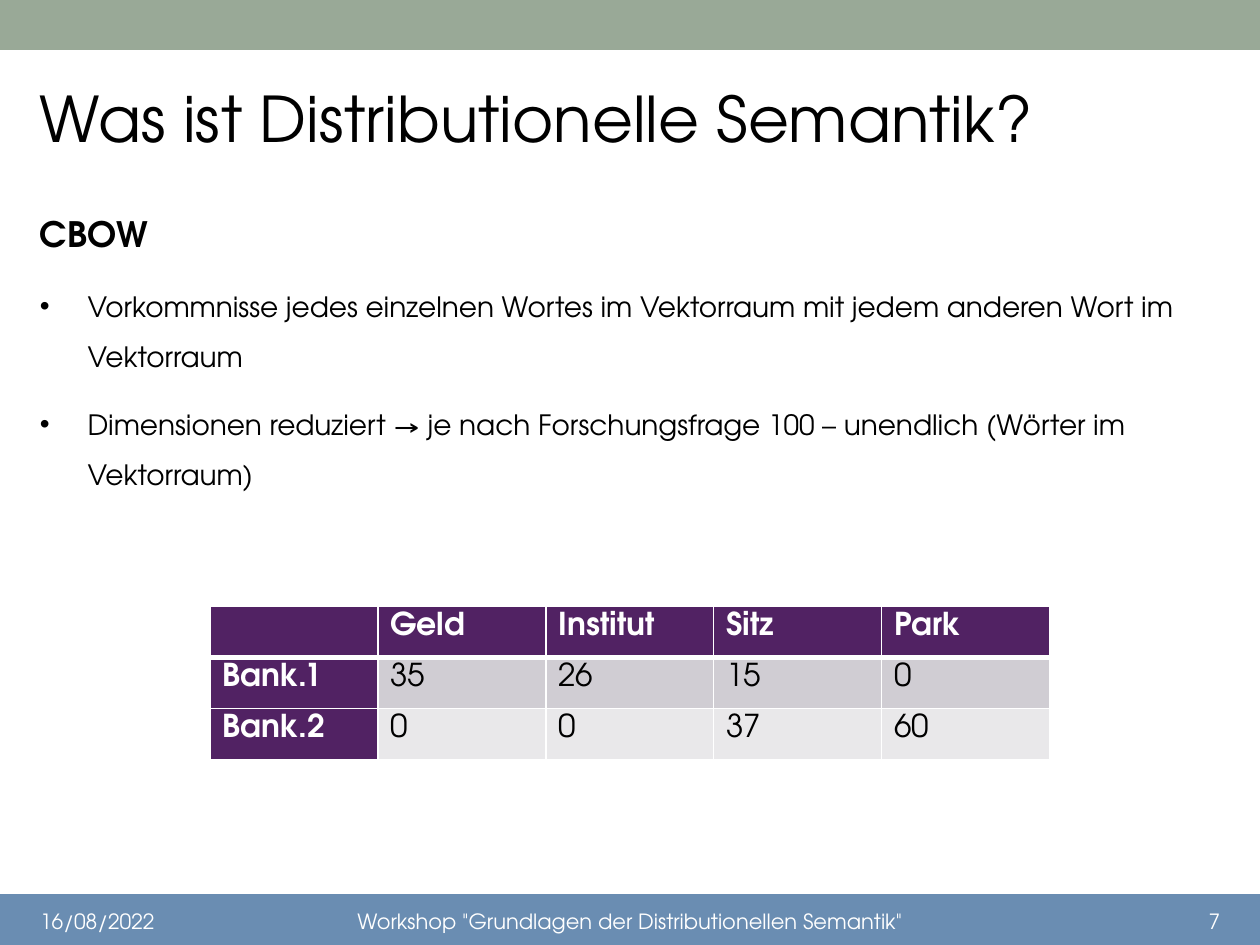
from pptx import Presentation
from pptx.dml.color import RGBColor
from pptx.enum import shapes, text
from pptx.oxml import parse_xml
from pptx.oxml.ns import nsdecls
from pptx.util import Cm, Pt

FONT = "TeX Gyre Adventor"
WHITE, BLACK, PLUM = "FFFFFF", "000000", "512263"
ROWS = [
    ["", "Geld", "Institut", "Sitz", "Park"],
    ["Bank.1", "35", "26", "15", "0"],
    ["Bank.2", "0", "0", "37", "60"],
]
BANDS = [PLUM, "D0CDD3", "E9E8EA"]
POINTS = [
    "Vorkommnisse jedes einzelnen Wortes im Vektorraum mit jedem anderen Wort im Vektorraum",
    "Dimensionen reduziert → je nach Forschungsfrage 100 – unendlich (Wörter im Vektorraum)",
]


def paint(fill, hue):
    fill.solid()
    fill.fore_color.rgb = RGBColor.from_string(hue)


def style(para, size, hue, bold=False, align=text.PP_ALIGN.LEFT):
    para.alignment = align
    for run in para.runs:
        font = run.font
        font.name, font.size, font.bold = FONT, Pt(size), bold
        font.color.rgb = RGBColor.from_string(hue)


def place(shape, left, top, width, height):
    shape.left, shape.top = Cm(left), Cm(top)
    shape.width, shape.height = Cm(width), Cm(height)


def bar(slide, top, hue):
    rect = slide.shapes.add_shape(
        shapes.MSO_SHAPE.RECTANGLE, 0, Cm(top), Cm(25.4), Cm(1))
    rect.shadow.inherit = False
    paint(rect.fill, hue)
    paint(rect.line.fill, hue)
    rect.line.width = Pt(1)


def title(slide, words):
    head = slide.shapes.title
    place(head, 0.55, 1.37, 21.9, 2)
    frame = head.text_frame
    frame.text = words
    frame.auto_size = text.MSO_AUTO_SIZE.NONE
    frame.vertical_anchor = text.MSO_ANCHOR.MIDDLE
    style(frame.paragraphs[0], 36, BLACK)


def bullet(para, mark):
    props = para._p.get_or_add_pPr()
    indent = Cm(0.96) if mark else 0
    props.set("marL", str(indent))
    props.set("indent", str(-indent))
    if mark:
        props.append(parse_xml(f'<a:buFont {nsdecls("a")} typeface="Arial"/>'))
        props.append(parse_xml(f'<a:buChar {nsdecls("a")} char="{mark}"/>'))
    else:
        props.append(parse_xml(f'<a:buNone {nsdecls("a")}/>'))


def body(slide, head, points):
    box = slide.placeholders[1]
    place(box, 0.55, 3.74, 24.31, 13.94)
    frame = box.text_frame
    frame.text = "\n".join([head] + points)
    frame.auto_size = text.MSO_AUTO_SIZE.NONE
    for i, para in enumerate(frame.paragraphs):
        para.line_spacing = 1.5
        para.space_before = Pt(10)
        style(para, 16 if i else 20, BLACK, bold=i == 0)
        bullet(para, "•" if i else "")


def note(slide, left, width, words, align):
    box = slide.shapes.add_textbox(Cm(left), Cm(18.26), Cm(width), Cm(0.61))
    frame = box.text_frame
    frame.word_wrap = True
    frame.vertical_anchor = text.MSO_ANCHOR.MIDDLE
    frame.text = words
    style(frame.paragraphs[0], 12, WHITE, align=align)


def edge(side, width):
    return parse_xml(
        f'<a:ln{side} {nsdecls("a")} w="{Pt(width)}"><a:solidFill>'
        f'<a:srgbClr val="{WHITE}"/></a:solidFill></a:ln{side}>')


def border(cell, top, base):
    props = cell._tc.get_or_add_tcPr()
    for i, (side, width) in enumerate(zip("LRTB", (1, 1, top, base))):
        props.insert(i, edge(side, width))


def grid(slide):
    frame = slide.shapes.add_table(
        len(ROWS), len(ROWS[0]), Cm(4.23), Cm(12.22), Cm(16.93), Cm(3.09))
    table = frame.table
    for r, row in enumerate(ROWS):
        for c, words in enumerate(row):
            cell = table.cell(r, c)
            head = r == 0 or c == 0
            cell.text = words
            cell.vertical_anchor = text.MSO_ANCHOR.TOP
            para = cell.text_frame.paragraphs[0]
            style(para, 18, WHITE if head else BLACK, head)
            paint(cell.fill, PLUM if head else BANDS[r])
            border(cell, 3 if r == 1 else 1, 3 if r == 0 else 1)


def main():
    deck = Presentation()
    deck.slide_width, deck.slide_height = Cm(25.4), Cm(19.05)
    slide = deck.slides.add_slide(deck.slide_layouts[1])
    bar(slide, 18.04, "6A8DB2")
    bar(slide, 0, "99A997")
    title(slide, "Was ist Distributionelle Semantik?")
    body(slide, "CBOW", POINTS)
    note(slide, 0.56, 5.72, "16/08/2022", text.PP_ALIGN.LEFT)
    note(slide, 6.81, 11.79, 'Workshop "Grundlagen der Distributionellen Semantik"',
         text.PP_ALIGN.CENTER)
    note(slide, 19.13, 5.72, "7", text.PP_ALIGN.RIGHT)
    grid(slide)
    deck.save("out.pptx")


if __name__ == "__main__":
    main()
